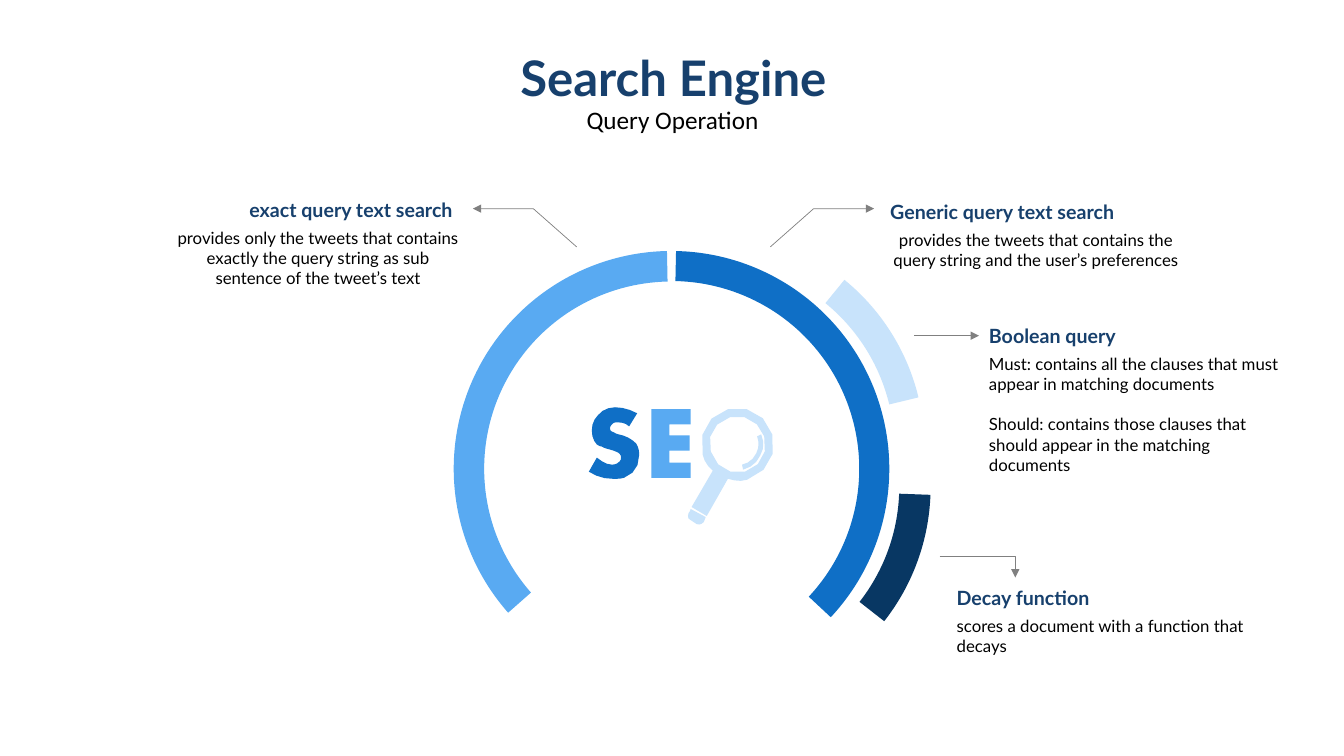
from lxml.etree import SubElement
from pptx import Presentation
from pptx.dml.color import RGBColor
from pptx.enum.shapes import MSO_CONNECTOR, MSO_SHAPE
from pptx.enum.text import MSO_ANCHOR, PP_ALIGN
from pptx.oxml.ns import qn
from pptx.util import Inches, Pt

BLUE, SKY, PALE, NAVY = "0F6FC6", "59AAF2", "C8E3FB", "083763"
TITLE_COLOR, LEADER_COLOR = "17406D", "808080"
HEADING = {"size": Pt(14), "name": "Lato", "bold": True}
BODY = {"size": Pt(12), "name": "Lato"}

# Logo outlines in hundredths of an inch: pairs are corners, sextets are curves.
LETTER_S = [[
    (26, 0), (33, 0, 41, 2, 48, 6), (40, 19), (37, 16, 33, 15, 29, 15),
    (27, 15, 25, 15, 24, 16), (22, 18, 21, 19, 21, 21), (21, 23, 22, 24, 25, 25),
    (26, 26, 29, 27, 34, 28), (40, 30, 44, 33, 47, 36), (49, 39, 50, 43, 50, 47),
    (50, 59, 45, 66, 35, 70), (32, 71, 28, 71, 24, 71), (15, 71, 8, 69, 0, 64),
    (8, 50), (13, 54, 18, 57, 23, 57), (26, 57, 28, 56, 29, 55),
    (31, 54, 32, 52, 32, 50), (32, 48, 31, 46, 29, 45), (27, 44, 25, 43, 21, 42),
    (17, 41, 14, 40, 13, 39), (11, 39, 10, 38, 8, 37), (5, 34, 3, 29, 3, 23),
    (3, 17, 5, 12, 9, 8), (13, 3, 19, 0, 26, 0)]]
LETTER_E = [[(62, 2), (101, 2), (101, 17), (80, 17), (80, 28), (100, 28), (100, 43),
             (80, 43), (80, 55), (101, 55), (101, 70), (62, 70)]]
HANDLE_END = [(116, 109), (114, 114), (112, 116, 110, 117, 107, 116), (101, 112),
              (98, 111, 98, 108, 99, 105), (100, 104, 101, 102, 101, 101)]
GLINT = [(171, 27), (174, 34, 174, 42, 170, 48), (167, 55, 161, 60, 153, 62), (152, 57),
         (158, 56, 163, 52, 166, 46), (169, 41, 169, 34, 167, 29)]
LENS = [(174, 29), (170, 15, 155, 6, 140, 10), (125, 14, 116, 29, 121, 44),
        (125, 59, 140, 68, 155, 64), (170, 60, 179, 44, 174, 29)]
RIM = [(182, 27), (188, 47, 176, 66, 157, 72), (151, 74, 144, 73, 138, 71), (117, 108),
       (102, 99), (123, 63), (118, 59, 114, 53, 113, 47), (107, 27, 119, 7, 138, 2),
       (157, -3, 177, 8, 182, 27)]


def color(value):
    return RGBColor.from_string(value)


def fill_plain(shape, value):
    shape.shadow.inherit = False
    shape.fill.solid()
    shape.fill.fore_color.rgb = color(value)
    shape.line.fill.background()


def style_leader(leader):
    """Thin grey line with an arrowhead at its end."""
    leader.line.color.rgb = color(LEADER_COLOR)
    leader.line.width = Pt(0.5)
    line = leader.element.spPr.find(qn("a:ln"))
    SubElement(line, qn("a:tailEnd"), type="triangle")


def add_text(slide, box, paragraphs, font, text_color="000000",
             align=PP_ALIGN.LEFT, anchor=MSO_ANCHOR.TOP):
    text_box = slide.shapes.add_textbox(*map(Inches, box))
    frame = text_box.text_frame
    frame.word_wrap = True
    frame.vertical_anchor = anchor
    for index, text in enumerate(paragraphs):
        paragraph = frame.add_paragraph() if index else frame.paragraphs[0]
        paragraph.alignment = align
        if index:
            paragraph.space_before = Pt(14.4)
        run = paragraph.add_run()
        run.text = text
        for name, value in font.items():
            setattr(run.font, name, value)
        run.font.color.rgb = color(text_color)
    return text_box


def add_title(slide, left, top, width):
    add_text(slide, (left, top, width, 0.79), ["Search Engine"],
             {"size": Pt(35), "name": "Lato", "bold": True}, TITLE_COLOR,
             PP_ALIGN.CENTER, MSO_ANCHOR.MIDDLE)
    add_text(slide, (left - 0.01, top + 0.62, width, 0.4), ["Query Operation"],
             {"size": Pt(18), "name": "Calibri"}, align=PP_ALIGN.CENTER)


def add_gauge(slide, left, top, size):
    """Ring of arcs, each with an offset, start and end degrees, thickness and fill."""
    arcs = [(0, 0, 271.2, 43, 0.069, BLUE),
            (0.35, -0.2, 309.2, 346.4, 0.069, PALE),
            (0, 0, 138.6, 268.8, 0.07, SKY),
            (0.41, 0.18, 2.1, 38.1, 0.072, NAVY)]
    for right, down, start, end, thickness, fill in arcs:
        arc = slide.shapes.add_shape(MSO_SHAPE.BLOCK_ARC, Inches(left + right),
                                     Inches(top + down), Inches(size), Inches(size))
        # Angles are stored in 60000ths of a degree, adjustments in 100000ths.
        for index, value in enumerate((start * 0.6, end * 0.6, thickness)):
            arc.adjustments[index] = value
        fill_plain(arc, fill)


def add_callout(slide, left, top, width, heading, body, body_height, body_width=None,
                heading_align=PP_ALIGN.LEFT, body_align=PP_ALIGN.LEFT):
    heading_box = add_text(slide, (left, top, width, 0.34), [heading], HEADING,
                           TITLE_COLOR, heading_align)
    add_text(slide, (left, top + 0.3, body_width or width, body_height), body, BODY,
             align=body_align)
    return heading_box


def add_bent_leader(slide, points):
    start, *rest = [(round(x * 1000), round(y * 1000)) for x, y in points]
    builder = slide.shapes.build_freeform(*start, scale=Inches(1) / 1000)
    builder.add_line_segments(rest, close=False)
    leader = builder.convert_to_shape()
    leader.shadow.inherit = False
    leader.fill.background()
    style_leader(leader)


def add_straight_leader(slide, left, top, heading_box):
    leader = slide.shapes.add_connector(MSO_CONNECTOR.STRAIGHT, Inches(left), Inches(top),
                                        heading_box.left, Inches(top))
    leader.end_connect(heading_box, 1)
    style_leader(leader)
    SubElement(leader.element.spPr, qn("a:effectLst"))


def flatten(contour, steps=3):
    """Turn corners and cubic curves into points in thousandths of an inch."""
    points = []
    for part in contour:
        if len(part) == 2:
            points.append(part)
            continue
        controls = [points[-1], part[:2], part[2:4], part[4:]]
        for step in range(1, steps + 1):
            t = step / steps
            weights = ((1 - t) ** 3, 3 * t * (1 - t) ** 2, 3 * t * t * (1 - t), t ** 3)
            points.append(tuple(sum(weight * control[axis] for weight, control
                                    in zip(weights, controls)) for axis in (0, 1)))
    if points[-1] == points[0]:
        points.pop()
    return [(round(x * 10), round(y * 10)) for x, y in points]


def add_logo(slide, left, top):
    outlines = [(LETTER_S, BLUE), (LETTER_E, SKY),
                ([HANDLE_END, GLINT, LENS, RIM], PALE)]
    for contours, fill in outlines:
        builder = None
        for contour in contours:
            start, *rest = flatten(contour)
            if builder is None:
                builder = slide.shapes.build_freeform(*start, scale=Inches(1) / 1000)
            else:
                builder.move_to(*start)
            builder.add_line_segments(rest, close=True)
        fill_plain(builder.convert_to_shape(Inches(left), Inches(top)), fill)


def add_search_slide(presentation):
    slide = presentation.slides.add_slide(presentation.slide_layouts[6])
    add_gauge(slide, 4.5, 2.49, 4.32)
    add_callout(slide, 8.73, 1.93, 3.09, "Generic query text search",
                ["provides the tweets that contains the query string and the user’s "
                 "preferences"], 0.5, body_align=PP_ALIGN.CENTER)
    boolean_heading = add_callout(
        slide, 9.71, 3.16, 3.09, "Boolean query",
        ["Must: contains all the clauses that must appear in matching documents",
         "Should: contains those clauses that should appear in the matching documents"],
        1.51)
    add_callout(slide, 9.39, 5.76, 3.09, "Decay function",
                ["scores a document with a function that decays"], 0.5)
    add_callout(slide, 1.63, 1.91, 2.96, "exact query text search",
                ["provides only the tweets that contains exactly the query string as sub "
                 "sentence of the tweet’s text"], 0.71, 3.05,
                PP_ALIGN.RIGHT, PP_ALIGN.CENTER)
    for side in (1, -1):
        add_bent_leader(slide, [(6.68 + side * reach, y) for reach, y
                                in ((0.96, 2.45), (1.39, 2.07), (1.99, 2.07))])
    add_straight_leader(slide, 9.07, 3.33, boolean_heading)
    add_bent_leader(slide, [(9.32, 5.52), (10.07, 5.52), (10.07, 5.73)])
    add_logo(slide, 5.84, 4.04)
    add_title(slide, 0.35, 0.37, 12.66)


def main():
    presentation = Presentation()
    presentation.slide_width = Inches(13.33)
    presentation.slide_height = Inches(7.5)
    add_search_slide(presentation)
    presentation.save("out.pptx")


if __name__ == "__main__":
    main()
